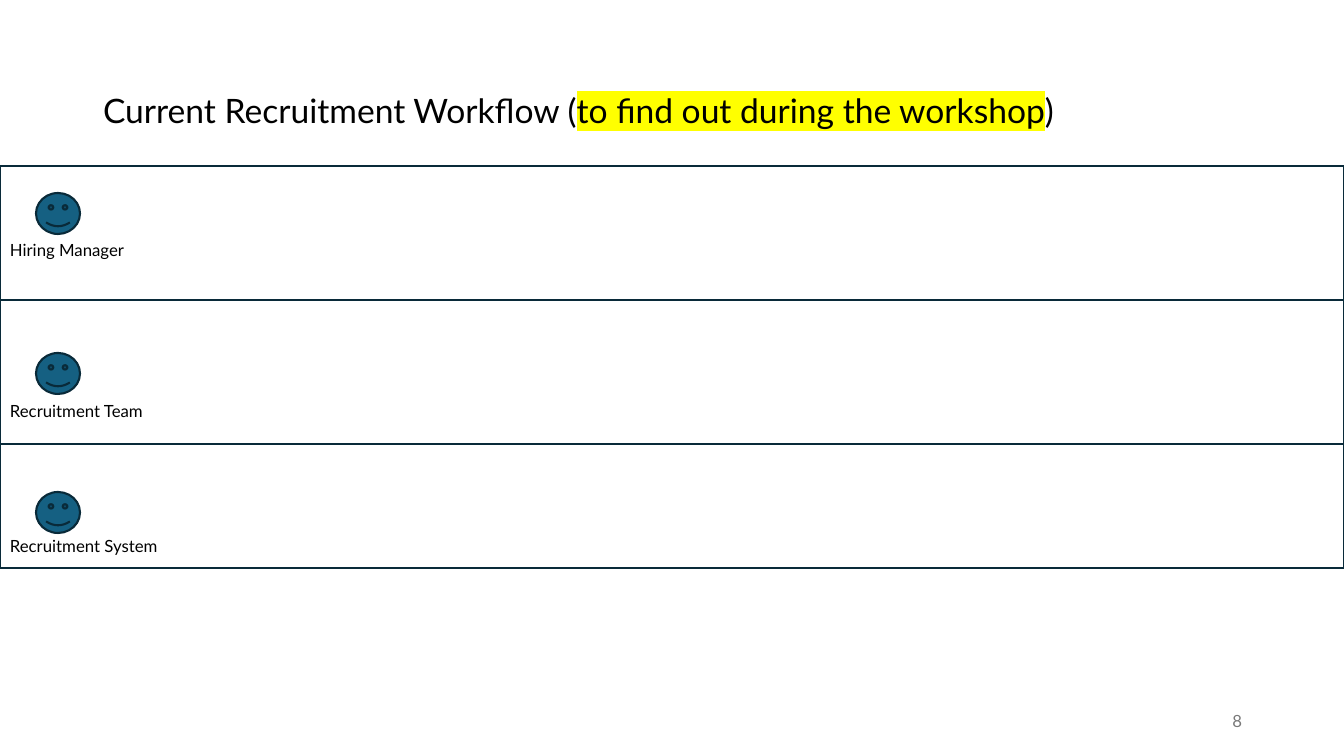
from lxml.etree import SubElement
from pptx import Presentation
from pptx.dml.color import RGBColor
from pptx.enum.shapes import MSO_SHAPE
from pptx.enum.text import MSO_ANCHOR, MSO_AUTO_SIZE, PP_ALIGN
from pptx.oxml.ns import qn
from pptx.util import Emu, Pt

WIDE, HIGH = 1344, 756
COLORS = {"ink": "000000", "face": "156082", "edge": "092A39",
          "mark": "FFFF00", "page": "797979"}
LANES = [("Hiring Manager", 166, 193, 235, 201),
         ("Recruitment Team", 300, 353, 396, 201),
         ("Recruitment System", 444, 492, 531, 270)]
BASE = 568


def px(count):
    return Emu(round(count * 914400 / 100.8))


def color(name):
    return RGBColor.from_string(COLORS[name])


def write(para, text, font="Lato", size=12, ink="ink", mark=None):
    run = para.add_run()
    run.text = text
    run.font.size = Pt(size)
    run.font.color.rgb = color(ink)
    if mark:
        light = SubElement(run.font._element, qn("a:highlight"))
        SubElement(light, qn("a:srgbClr"), val=COLORS[mark])
    run.font.name = font


class Board:
    """Draws styled elements on one slide, measured in px."""

    def __init__(self, deck):
        self.slide = deck.slides.add_slide(deck.slide_layouts[5])
        self.shapes = self.slide.shapes

    def title(self, box, parts):
        head = self.shapes.title
        head.left, head.top, head.width, head.height = map(px, box)
        frame = head.text_frame
        frame.auto_size = MSO_AUTO_SIZE.NONE
        frame.vertical_anchor = MSO_ANCHOR.MIDDLE
        para = frame.paragraphs[0]
        para.alignment = PP_ALIGN.LEFT
        para.line_spacing = 0.9
        for text, mark in parts:
            write(para, text, size=24, mark=mark)

    def shape(self, kind, box, fill=None):
        item = self.shapes.add_shape(kind, *map(px, box))
        item.shadow.inherit = False
        if fill:
            item.fill.solid()
            item.fill.fore_color.rgb = color(fill)
        else:
            item.fill.background()
        item.line.color.rgb = color("edge")
        item.line.width = Pt(1.5)

    def label(self, box, text, align=PP_ALIGN.LEFT, anchor=MSO_ANCHOR.TOP, **form):
        frame = self.shapes.add_textbox(*map(px, box)).text_frame
        frame.word_wrap = True
        frame.vertical_anchor = anchor
        para = frame.paragraphs[0]
        para.alignment = align
        write(para, text, **form)


def main():
    deck = Presentation()
    deck.slide_width, deck.slide_height = px(WIDE), px(HIGH)
    board = Board(deck)
    board.title((93, 40, 1159, 146), [
        ("Current Recruitment Workflow (", None),
        ("to find out during the workshop", "mark"),
        (")", None)])
    for name, top, face, text, width in LANES:
        board.shape(MSO_SHAPE.SMILEY_FACE, (36, face, 44, 41), "face")
        board.label((0, text, width, 30), name)
    ends = [lane[1] for lane in LANES[1:]] + [BASE]
    for lane, end in zip(LANES, ends):
        board.shape(MSO_SHAPE.RECTANGLE, (0, lane[1], WIDE, end - lane[1]))
    board.label((950, 701, 302, 40), "8", align=PP_ALIGN.RIGHT,
                anchor=MSO_ANCHOR.MIDDLE, ink="page")
    deck.save("out.pptx")


if __name__ == "__main__":
    main()
